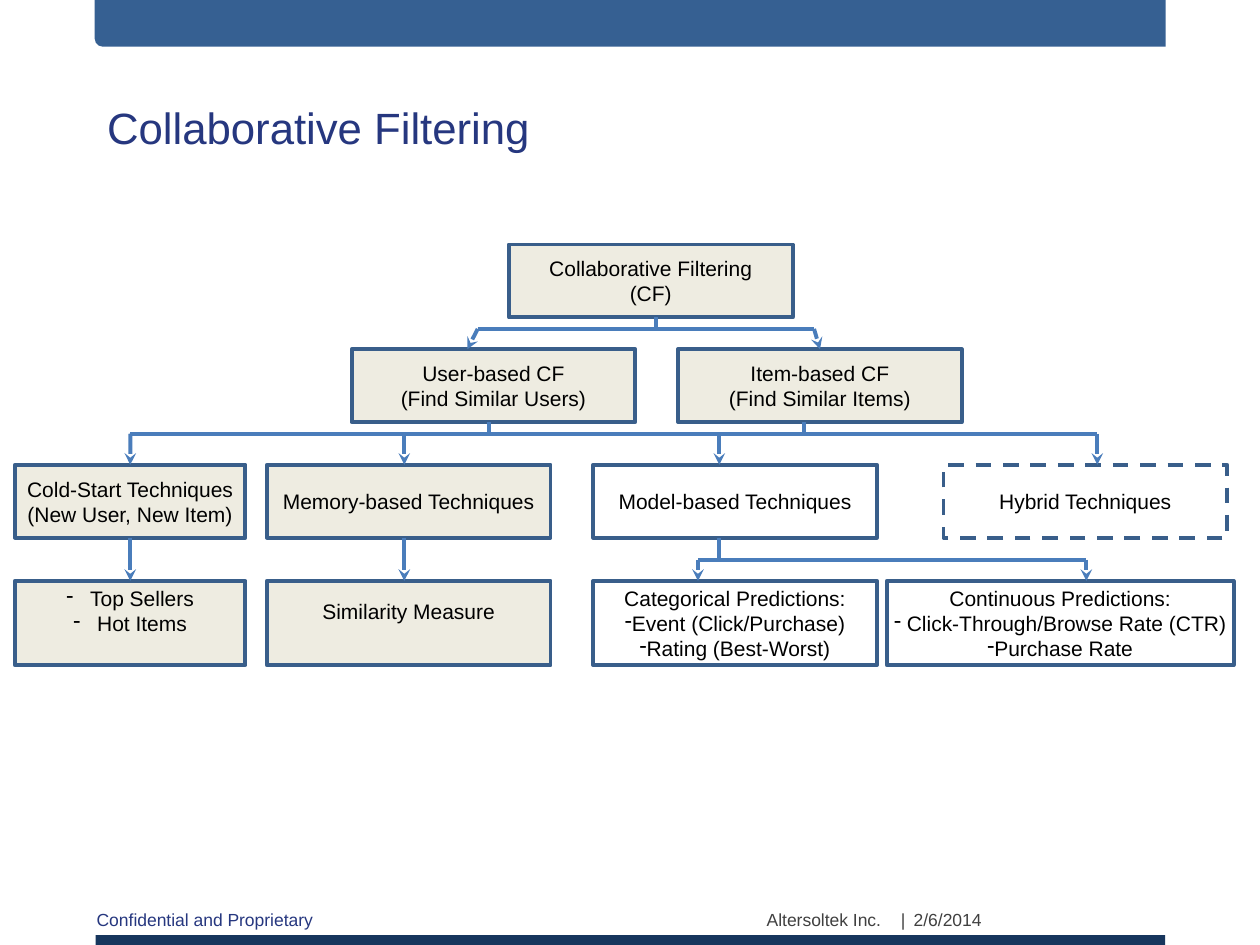
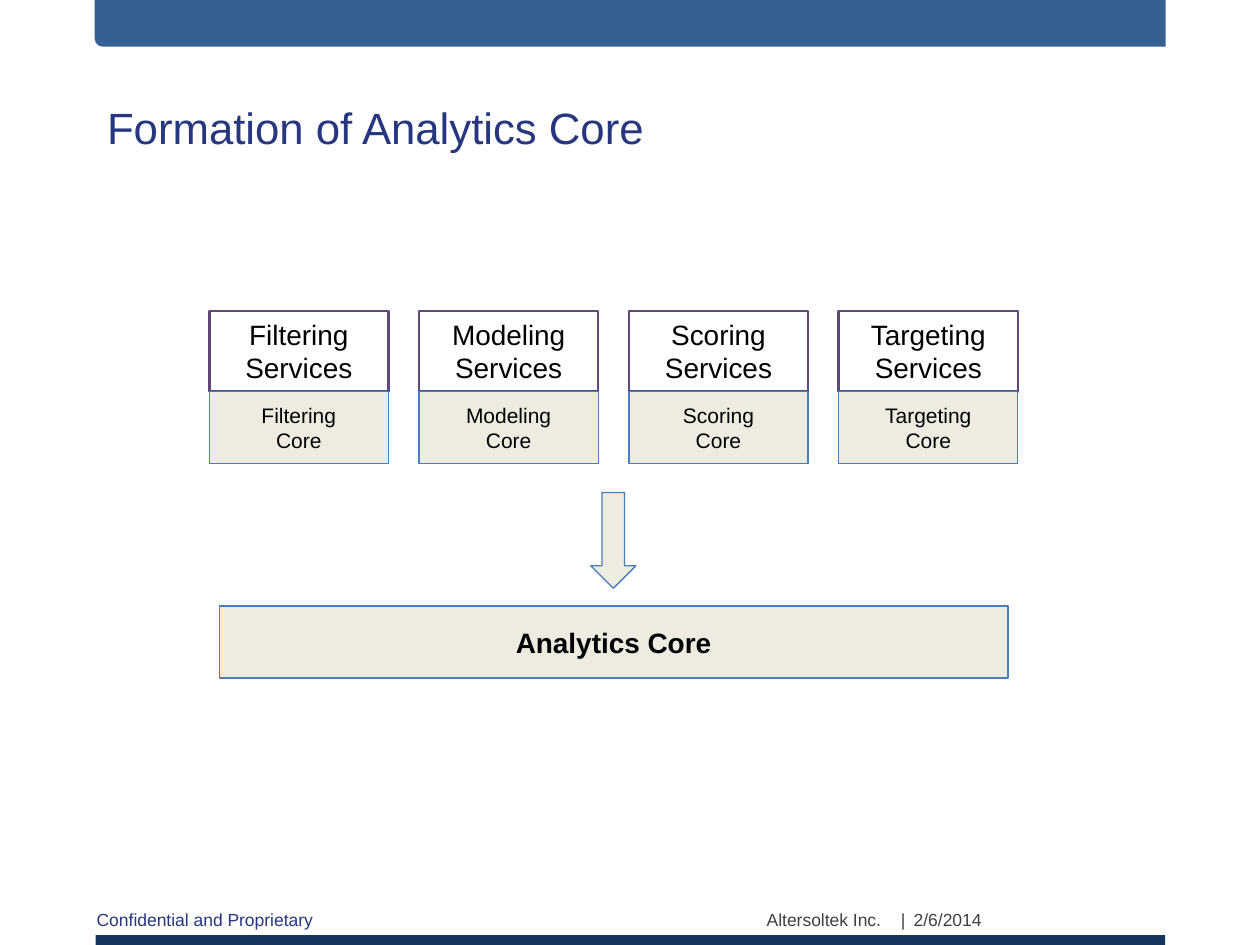
"""Build two slides on collaborative filtering and the analytics core."""
from dataclasses import dataclass
from typing import Optional

from lxml import etree
from pptx import Presentation
from pptx.dml.color import RGBColor
from pptx.enum.dml import MSO_LINE
from pptx.enum.shapes import MSO_CONNECTOR, MSO_SHAPE
from pptx.enum.text import MSO_ANCHOR, PP_ALIGN
from pptx.oxml.ns import qn
from pptx.util import Cm, Pt

RECT = MSO_SHAPE.RECTANGLE
ROUND_ONE = MSO_SHAPE.ROUND_1_RECTANGLE
DOWN_ARROW = MSO_SHAPE.DOWN_ARROW
STRAIGHT = MSO_CONNECTOR.STRAIGHT
DASH = MSO_LINE.DASH
LEFT, CENTER, RIGHT = PP_ALIGN.LEFT, PP_ALIGN.CENTER, PP_ALIGN.RIGHT
TOP, MIDDLE = MSO_ANCHOR.TOP, MSO_ANCHOR.MIDDLE

BLACK = RGBColor(0x00, 0x00, 0x00)
WHITE = RGBColor(0xFF, 0xFF, 0xFF)
NAVY = RGBColor(0x17, 0x36, 0x5D)
BAND_BLUE = RGBColor(0x36, 0x60, 0x92)
TITLE_BLUE = RGBColor(0x26, 0x37, 0x7F)
GREY = RGBColor(0x40, 0x40, 0x40)
CREAM = RGBColor(0xEE, 0xEC, 0xE1)
BORDER_BLUE = RGBColor(0x39, 0x5E, 0x8A)
LINE_BLUE = RGBColor(0x4A, 0x7D, 0xBB)
PURPLE = RGBColor(0x5F, 0x49, 0x7A)
FONT = "Arial"

BOX_W, BOX_H, LEAF_H = 5.72, 1.47, 1.7
ROOT_Y, KIND_Y, TECH_Y, LEAF_Y = 4.93, 7.04, 9.37, 11.71
KIND_BUS, TECH_BUS, LEAF_BUS = 6.63, 8.74, 11.28
COLD_X, MEMORY_X, MODEL_X = 0.3, 5.38, 11.96
COLD_W = 4.65
COLD_MID, MEMORY_MID, MODEL_MID, HYBRID_MID = 2.63, 8.15, 14.5, 22.12
ONE_LINE = 0.49


@dataclass(frozen=True)
class Label:
    """A text box; lengths are centimetres."""
    text: str
    x: float
    y: float
    w: float
    h: float
    color: RGBColor = GREY
    size: int = 10
    align: PP_ALIGN = LEFT
    anchor: MSO_ANCHOR = TOP
    inset: float = 0.25


@dataclass(frozen=True)
class Box:
    """A bordered shape with centred text; lengths are centimetres."""
    text: str
    x: float
    y: float
    w: float = BOX_W
    h: float = BOX_H
    fill: Optional[RGBColor] = CREAM
    line: Optional[RGBColor] = BORDER_BLUE
    weight: float = 2.25
    dashed: bool = False
    size: int = 12
    bold: bool = False
    anchor: MSO_ANCHOR = MIDDLE
    inset: float = 0.25
    lift: float = 0
    first_bullet: Optional[int] = None
    hang: float = 0
    kind: MSO_SHAPE = RECT


@dataclass(frozen=True)
class Link:
    """A line, joined to the bottom of start and the top of end if named."""
    x1: float
    y1: float
    x2: float
    y2: float
    arrow: bool = False
    start: str = ""
    end: str = ""


TREE = {
    "root": Box("Collaborative Filtering\n(CF)", 10.26, ROOT_Y),
    "user": Box("User-based CF\n(Find Similar Users)", 7.09, KIND_Y),
    "item": Box("Item-based CF\n(Find Similar Items)", 13.67, KIND_Y),
    "cold": Box("Cold-Start Techniques\n(New User, New Item)", COLD_X, TECH_Y,
                COLD_W, inset=0),
    "memory": Box("Memory-based Techniques", MEMORY_X, TECH_Y, inset=0),
    "model": Box("Model-based Techniques", MODEL_X, TECH_Y, fill=WHITE),
    "hybrid": Box("Hybrid Techniques", 19.02, TECH_Y, fill=WHITE, dashed=True),
    "sellers": Box("Top Sellers\nHot Items", COLD_X, LEAF_Y, COLD_W, LEAF_H,
                   lift=ONE_LINE, first_bullet=0, hang=0.48),
    "similarity": Box("Similarity Measure", MEMORY_X, LEAF_Y, h=LEAF_H,
                      lift=ONE_LINE),
    "categorical": Box(
        "Categorical Predictions:\nEvent (Click/Purchase)\nRating (Best-Worst)",
        MODEL_X, LEAF_Y, h=LEAF_H, fill=WHITE, first_bullet=1),
    "continuous": Box(
        "Continuous Predictions:\n Click-Through/Browse Rate (CTR)\nPurchase Rate",
        17.88, LEAF_Y, 6.99, LEAF_H, fill=WHITE, inset=0, first_bullet=1),
}

LINKS = [
    Link(13.23, ROOT_Y + BOX_H, 13.23, KIND_BUS),
    Link(9.63, KIND_BUS, 16.41, KIND_BUS),
    Link(9.63, KIND_BUS, 9.42, KIND_Y, arrow=True),
    Link(16.41, KIND_BUS, 16.51, KIND_Y, arrow=True, end="item"),
    *[Link(x, KIND_Y + BOX_H, x, TECH_BUS) for x in (9.86, 16.21)],
    Link(COLD_MID, TECH_BUS, HYBRID_MID, TECH_BUS),
    Link(COLD_MID, TECH_BUS, COLD_MID, TECH_Y, arrow=True, end="cold"),
    *[Link(x, TECH_BUS, x, TECH_Y, arrow=True)
      for x in (MEMORY_MID, MODEL_MID, HYBRID_MID)],
    Link(COLD_MID, TECH_Y + BOX_H, COLD_MID, LEAF_Y, arrow=True,
         start="cold", end="sellers"),
    Link(MEMORY_MID, TECH_Y + BOX_H, MEMORY_MID, LEAF_Y, arrow=True),
    Link(MODEL_MID, TECH_Y + BOX_H, MODEL_MID, LEAF_BUS),
    Link(14.07, LEAF_BUS, 21.9, LEAF_BUS),
    *[Link(x, LEAF_BUS, x, LEAF_Y, arrow=True) for x in (14.07, 21.9)],
]

BANDS = [
    Box("", 1.93, 18.85, 21.56, 0.2, fill=NAVY, line=None),
    Box("", 1.91, 0, 21.59, 0.94, fill=BAND_BLUE, line=None, kind=ROUND_ONE),
]

FOOTERS = [
    Label("Confidential and Proprietary", 1.7, 18.19, 4.93, 0.69, TITLE_BLUE),
    Label("|", 17.91, 18.19, 0.84, 0.69),
    Label("2/6/2014", 18.42, 18.03, 2.74, 1.02, anchor=MIDDLE, inset=0),
    Label("Altersoltek Inc.", 9.96, 18.03, 8.05, 1.02, align=RIGHT, anchor=MIDDLE),
]

SERVICES = ["Filtering", "Modeling", "Scoring", "Targeting"]
SERVICE_X, SERVICE_Y, SERVICE_PITCH = 4.22, 6.27, 4.23
SERVICE_W, SERVICE_H, CORE_H = 3.61, 1.63, 1.45


def style_frame(tf, anchor: MSO_ANCHOR, inset: float, lift: float = 0) -> None:
    """Set wrapping, anchor and insets of a text frame."""
    tf.word_wrap = True
    tf.vertical_anchor = anchor
    tf.margin_left = tf.margin_right = Cm(inset)
    tf.margin_top, tf.margin_bottom = Cm(0.13), Cm(0.13 + lift)


def style_paragraph(p, size: int, color: RGBColor, align: PP_ALIGN,
                    bold: bool = False) -> None:
    """Align a paragraph and format its runs."""
    p.alignment = align
    for r in p.runs:
        r.font.name = FONT
        r.font.size = Pt(size)
        r.font.bold = bold
        r.font.color.rgb = color


def add_dash_bullet(p, hang: float) -> None:
    """Give a paragraph a dash bullet with a hanging indent."""
    pPr = p._p.get_or_add_pPr()
    pPr.set("marL", str(Cm(hang)))
    pPr.set("indent", str(-Cm(hang)))
    etree.SubElement(pPr, qn("a:buChar"), char="-")


def add_label(slide, label: Label) -> None:
    """Draw a text box."""
    sp = slide.shapes.add_textbox(Cm(label.x), Cm(label.y), Cm(label.w), Cm(label.h))
    tf = sp.text_frame
    style_frame(tf, label.anchor, label.inset)
    tf.text = label.text
    style_paragraph(tf.paragraphs[0], label.size, label.color, label.align)


def add_box(slide, box: Box):
    """Draw a shape with its text and return it."""
    sp = slide.shapes.add_shape(box.kind, Cm(box.x), Cm(box.y), Cm(box.w), Cm(box.h))
    sp.shadow.inherit = False
    if box.fill is None:
        sp.fill.background()
    else:
        sp.fill.solid()
        sp.fill.fore_color.rgb = box.fill
    if box.line is None:
        sp.line.fill.background()
    else:
        sp.line.color.rgb = box.line
        sp.line.width = Pt(box.weight)
    if box.dashed:
        sp.line.dash_style = DASH
    if box.kind == ROUND_ONE:
        sp.rotation = 180
    if box.text:
        tf = sp.text_frame
        style_frame(tf, box.anchor, box.inset, box.lift)
        tf.text = box.text
        for i, p in enumerate(tf.paragraphs):
            if box.first_bullet is not None and i >= box.first_bullet:
                add_dash_bullet(p, box.hang)
            style_paragraph(p, box.size, BLACK, CENTER, box.bold)
    return sp


def add_link(slide, link: Link, nodes: dict) -> None:
    """Draw a line, with an arrowhead and joins where asked."""
    cxn = slide.shapes.add_connector(
        STRAIGHT, Cm(link.x1), Cm(link.y1), Cm(link.x2), Cm(link.y2))
    if link.start:
        cxn.begin_connect(nodes[link.start], 2)
    if link.end:
        cxn.end_connect(nodes[link.end], 0)
    cxn.line.color.rgb = LINE_BLUE
    cxn.line.width = Pt(2.25)
    if link.arrow:
        etree.SubElement(cxn.line._get_or_add_ln(), qn("a:tailEnd"), type="stealth")
    etree.SubElement(cxn._element.spPr, qn("a:effectLst"))


def add_slide(prs, title: str):
    """Add a slide with the shared bands, footers and title."""
    slide = prs.slides.add_slide(prs.slide_layouts[6])
    for band in BANDS:
        add_box(slide, band)
    add_label(slide, Label(title, 1.91, 1.91, 21.59, 1.19, TITLE_BLUE, 25))
    for footer in FOOTERS:
        add_label(slide, footer)
    return slide


def build_filtering(prs) -> None:
    """Draw the tree of filtering techniques."""
    slide = add_slide(prs, "Collaborative Filtering")
    nodes = {name: add_box(slide, box) for name, box in TREE.items()}
    for link in LINKS:
        add_link(slide, link, nodes)


def build_analytics_core(prs) -> None:
    """Draw the services whose cores form the analytics core."""
    slide = add_slide(prs, "Formation of Analytics Core")
    for i, service in enumerate(SERVICES):
        x = SERVICE_X + i * SERVICE_PITCH
        add_box(slide, Box(f"{service}\nServices", x, SERVICE_Y, SERVICE_W, SERVICE_H,
                           None, PURPLE, 1.5, size=16, anchor=TOP))
        add_box(slide, Box(f"{service}\nCore", x, SERVICE_Y + SERVICE_H, SERVICE_W,
                           CORE_H, line=LINE_BLUE, weight=0.75))
    add_box(slide, Box("", 11.91, 9.93, 0.91, 1.93, line=LINE_BLUE, weight=0.75,
                       kind=DOWN_ARROW))
    add_box(slide, Box("Analytics Core", 4.42, 12.22, 15.9, CORE_H, line=LINE_BLUE,
                       weight=0.75, size=16, bold=True))


def main() -> None:
    """Build and save the presentation."""
    prs = Presentation()
    prs.slide_width, prs.slide_height = Cm(25.4), Cm(19.05)
    build_filtering(prs)
    build_analytics_core(prs)
    prs.save("out.pptx")


if __name__ == "__main__":
    main()
